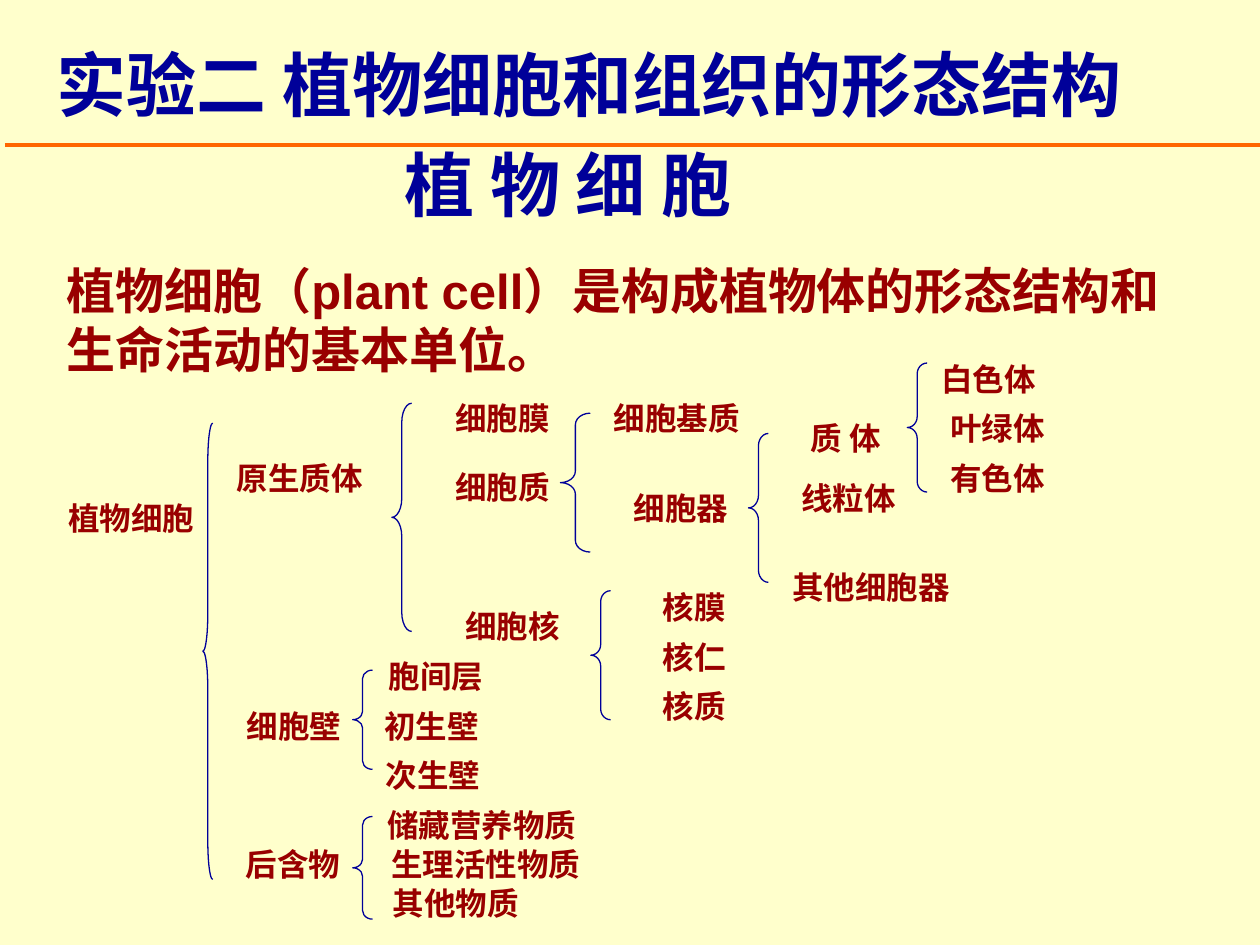
from dataclasses import dataclass
from typing import Optional

import pptx
import pptx.dml.color
import pptx.enum.shapes
import pptx.enum.text
import pptx.oxml
import pptx.util
from pptx.util import Cm

NAVY, MAROON, ORANGE, CREAM = "000099", "990000", "FF6600", "FFFFCC"
LABEL_HEIGHT = 1.02
ALIGN = pptx.enum.text.PP_ALIGN


@dataclass
class Label:
    text: str
    left: float
    top: float
    width: Optional[float] = None  # None: as wide as the text needs


@dataclass
class Branch:
    """A brace (left, top, width, height in cm) and the terms it opens to."""
    brace: tuple[float, float, float, float]
    labels: list[Label]


ROOT = Label("植物细胞", 1.12, 9.93)
BRANCHES = [
    Branch((4.09, 8.53, 0.2, 9.2), [
        Label("原生质体", 4.52, 9.12),
        Label("细胞壁", 4.72, 14.12),
        Label("后含物", 4.7, 16.92)]),
    Branch((7.9, 8.13, 0.4, 4.6), [
        Label("细胞膜", 8.92, 7.92),
        Label("细胞质", 8.92, 9.32),
        Label("细胞核", 9.12, 12.12)]),
    Branch((11.3, 8.33, 0.6, 2.8), [
        Label("细胞基质", 12.12, 7.92),
        Label("细胞器", 12.52, 9.73)]),
    Branch((15.09, 8.74, 0.4, 3), [
        Label("质 体", 15.9, 8.33, 2.31),
        Label("线粒体", 15.9, 9.53),
        Label("其他细胞器", 15.72, 11.33)]),
    Branch((18.29, 7.32, 0.4, 2.6), [
        Label("白色体", 18.72, 7.14),
        Label("叶绿体", 18.9, 8.13),
        Label("有色体", 18.9, 9.12)]),
    Branch((11.91, 11.91, 0.4, 2.6), [
        Label("核膜", 13.11, 11.73),
        Label("核仁", 13.11, 12.73),
        Label("核质", 13.11, 13.72)]),
    Branch((7.11, 13.51, 0.4, 2), [
        Label("胞间层", 7.49, 13.13, 2.59),
        Label("初生壁", 7.49, 14.12),
        Label("次生壁", 7.52, 15.11)]),
    Branch((7.11, 16.46, 0.4, 2.07), [
        Label("储藏营养物质", 7.11, 16.13, 5.21),
        Label("生理活性物质", 7.49, 16.92, 4.6),
        Label("其他物质", 7.49, 17.7, 3.4)]),
]


def color(value: str):
    return pptx.dml.color.RGBColor.from_string(value)


def place(shape, left: float, top: float, width: float, height: float) -> None:
    shape.left, shape.top = Cm(left), Cm(top)
    shape.width, shape.height = Cm(width), Cm(height)


def write(shape, text: str, *, size: float, fill: str, align=ALIGN.LEFT,
          wrap: bool = True) -> None:
    frame = shape.text_frame
    frame.word_wrap = wrap
    frame.auto_size = pptx.enum.text.MSO_AUTO_SIZE.NONE
    frame.vertical_anchor = pptx.enum.text.MSO_ANCHOR.TOP
    para = frame.paragraphs[0]
    para.alignment = align
    para.space_before = pptx.util.Pt(0)
    span = para.add_run()
    span.text = text
    span.font.name = "Arial"
    span.font.size = pptx.util.Pt(size)
    span.font.bold = True
    span.font.color.rgb = color(fill)


def add_label(page, label: Label) -> None:
    width = label.width or 0.51 + 0.635 * len(label.text)
    box = page.shapes.add_textbox(Cm(label.left), Cm(label.top),
                                  Cm(width), Cm(LABEL_HEIGHT))
    write(box, label.text, size=18, fill=MAROON, align=ALIGN.CENTER, wrap=False)


def add_brace(page, left: float, top: float, width: float, height: float) -> None:
    brace = page.shapes.add_shape(pptx.enum.shapes.MSO_SHAPE.LEFT_BRACE,
                                  Cm(left), Cm(top), Cm(width), Cm(height))
    brace.adjustments[0] = height / (12 * width)  # each curl is 1/12 of the height
    brace.shadow.inherit = False
    brace.fill.background()
    brace.line.color.rgb = color(NAVY)
    brace.line.width = pptx.util.Pt(0.75)


def add_rule(page, left: float, right: float, top: float) -> None:
    rule = page.shapes.add_connector(pptx.enum.shapes.MSO_CONNECTOR.STRAIGHT,
                                     Cm(left), Cm(top), Cm(right), Cm(top))
    rule.line.color.rgb = color(ORANGE)
    rule.line.width = pptx.util.Pt(2.25)
    properties = rule._element.spPr
    properties.append(properties.makeelement(pptx.oxml.ns.qn("a:effectLst"), {}))


def main() -> None:
    deck = pptx.Presentation()
    deck.slide_width, deck.slide_height = Cm(25.4), Cm(19.05)
    page = deck.slides.add_slide(deck.slide_layouts[1])
    page.background.fill.solid()
    page.background.fill.fore_color.rgb = color(CREAM)

    # Headings
    add_rule(page, 0.1, 25.5, 2.92)
    title = page.shapes.title
    place(title, 0.89, 0.71, 24, 2.79)
    write(title, "实验二 植物细胞和组织的形态结构", size=40, fill=NAVY)
    subtitle = page.shapes.add_textbox(Cm(7.9), Cm(2.72), Cm(8.81), Cm(1.96))
    write(subtitle, "植 物 细 胞", size=40, fill=NAVY)

    # Definition, as plain text without a bullet
    body = page.placeholders[1]
    place(body, 1.09, 5.13, 23.39, 2.64)
    write(body, "植物细胞（plant cell）是构成植物体的形态结构和生命活动的基本单位。",
          size=28, fill=MAROON)
    layout = body.text_frame.paragraphs[0]._p.get_or_add_pPr()
    layout.set("marL", "0")
    layout.set("indent", "0")
    layout.append(layout.makeelement(pptx.oxml.ns.qn("a:buNone"), {}))

    # Classification tree
    add_label(page, ROOT)
    for branch in BRANCHES:
        add_brace(page, *branch.brace)
        for label in branch.labels:
            add_label(page, label)

    deck.save("out.pptx")


if __name__ == "__main__":
    main()
